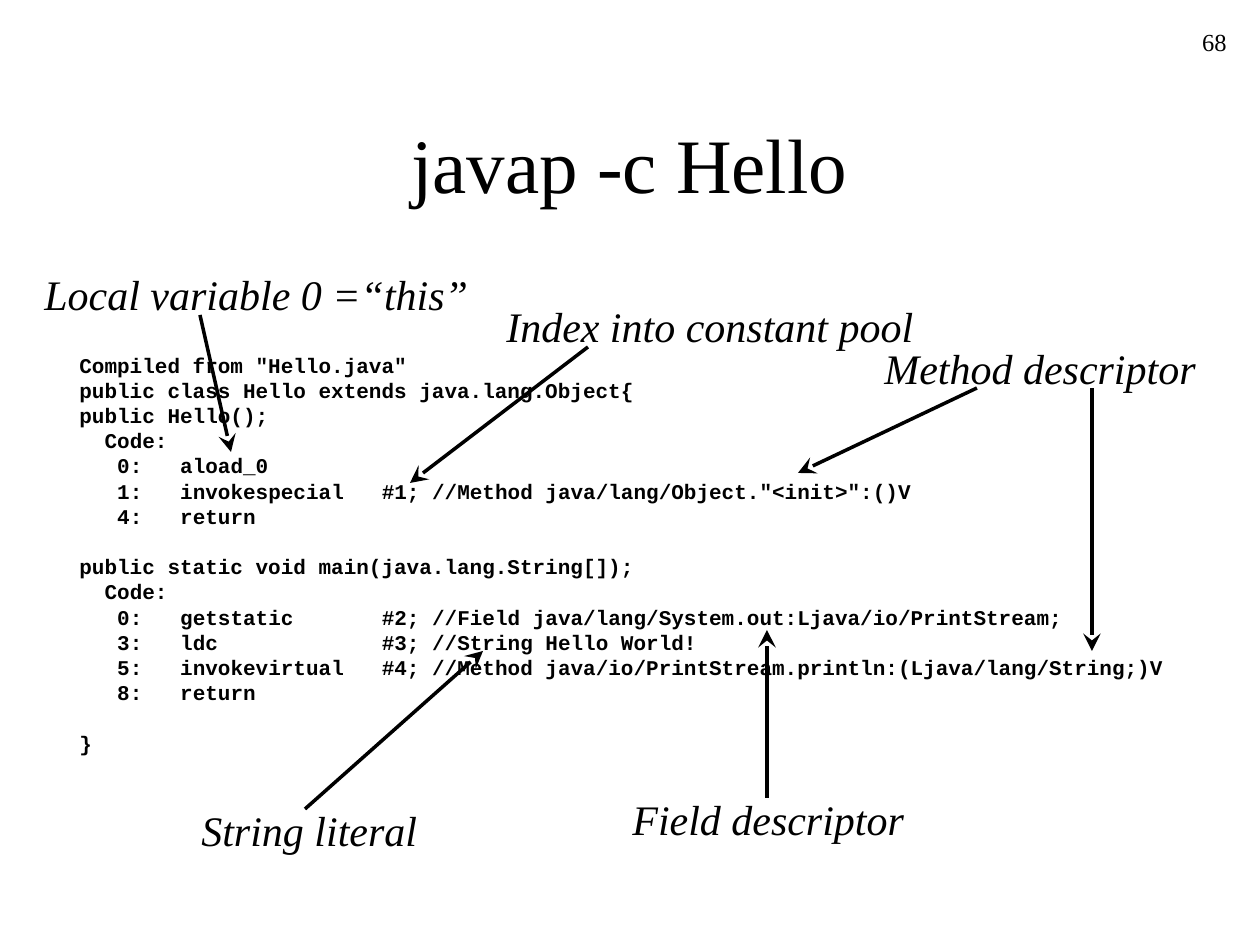
from lxml import etree
from pptx import Presentation
from pptx import util as u
from pptx.dml.color import RGBColor
from pptx.enum import shapes, text
from pptx.oxml.ns import qn

PIXEL = u.Inches(1) // 126
BLACK = RGBColor(0, 0, 0)
SERIF = "Times New Roman"
MONO = "Courier New"
CHARACTER = u.Inches(0.1)
LINE_PITCH = u.Pt(14.4)


def style(para, name, size, bold=False, italic=False):
    para.font.name = name
    para.font.size = u.Pt(size)
    para.font.bold = bold
    para.font.italic = italic
    para.font.color.rgb = BLACK


def add_box(left, top, width, height, wrap=False):
    box = slide.shapes.add_textbox(*(n * PIXEL for n in (left, top, width, height)))
    box.text_frame.word_wrap = wrap
    if not wrap:
        box.text_frame.auto_size = text.MSO_AUTO_SIZE.SHAPE_TO_FIT_TEXT
    return box


deck = Presentation()
deck.slide_width = 1260 * PIXEL
deck.slide_height = 945 * PIXEL
slide = deck.slides.add_slide(deck.slide_layouts[5])

title = slide.shapes.title
title.left, title.top, title.width, title.height = (n * PIXEL for n in (94, 84, 1071, 158))
title.text_frame.text = "javap -c Hello"
title.text_frame.vertical_anchor = text.MSO_ANCHOR.MIDDLE
heading = title.text_frame.paragraphs[0]
heading.alignment = text.PP_ALIGN.CENTER
style(heading, SERIF, 44)

PLAIN, LABEL, CODE = (), (2,), (3, 8, 24)
listing = [
    ('Compiled from "Hello.java"', PLAIN),
    ("public class Hello extends java.lang.Object{", PLAIN),
    ("public Hello();", PLAIN),
    ("\tCode:", LABEL),
    ("\t0:\taload_0", CODE),
    ('\t1:\tinvokespecial\t#1; //Method java/lang/Object."<init>":()V', CODE),
    ("\t4:\treturn", CODE),
    ("public static void main(java.lang.String[]);", PLAIN),
    ("\tCode:", LABEL),
    ("\t0:\tgetstatic\t#2; //Field java/lang/System.out:Ljava/io/PrintStream;", CODE),
    ("\t3:\tldc\t#3; //String Hello World!", CODE),
    ("\t5:\tinvokevirtual\t#4; //Method java/io/PrintStream.println:(Ljava/lang/String;)V", CODE),
    ("\t8:\treturn", CODE),
    ("}", PLAIN),
]
block_starts = (7, 13)

code_box = add_box(67, 346, 1109, 416)
code_box.text_frame.text = "\n".join(line for line, columns in listing)
for index, para in enumerate(code_box.text_frame.paragraphs):
    style(para, MONO, 12, bold=True)
    para.line_spacing = LINE_PITCH
    para.space_before = LINE_PITCH if index in block_starts else u.Pt(0)
    columns = listing[index][1]
    if columns:
        properties = para._p.get_or_add_pPr()
        stops = etree.Element(qn("a:tabLst"))
        for column in columns:
            etree.SubElement(stops, qn("a:tab"), pos=str(column * CHARACTER), algn="l")
        properties.find(qn("a:defRPr")).addprevious(stops)

labels = [
    ("Method descriptor", 872, 336, 338),
    ("Field descriptor", 620, 787, 297),
    ("String literal", 189, 798, 241),
    ("Index into constant pool", 494, 294, 432),
    ("Local variable 0 =“this”", 32, 262, 449),
]
for wording, left, top, width in labels:
    label = add_box(left, top, width, 63)
    label.text_frame.text = wording
    style(label.text_frame.paragraphs[0], SERIF, 24, italic=True)

arrows = [
    (977, 388, 798, 473),
    (1092, 388, 1092, 651),
    (767, 798, 767, 630),
    (305, 809, 483, 651),
    (588, 347, 410, 483),
    (200, 315, 231, 452),
]
for ends in arrows:
    arrow = slide.shapes.add_connector(
        shapes.MSO_CONNECTOR.STRAIGHT, *(n * PIXEL for n in ends))
    arrow.line.color.rgb = BLACK
    arrow.line.width = u.Pt(2)
    outline = arrow.line._get_or_add_ln()
    etree.SubElement(outline, qn("a:tailEnd"), type="stealth", w="lg", len="lg")
    etree.SubElement(arrow._element.spPr, qn("a:effectLst"))

number_box = add_box(977, 21, 262, 63, wrap=True)
number_box.text_frame.text = "68"
number = number_box.text_frame.paragraphs[0]
number.alignment = text.PP_ALIGN.RIGHT
style(number, SERIF, 14)

deck.save("out.pptx")
